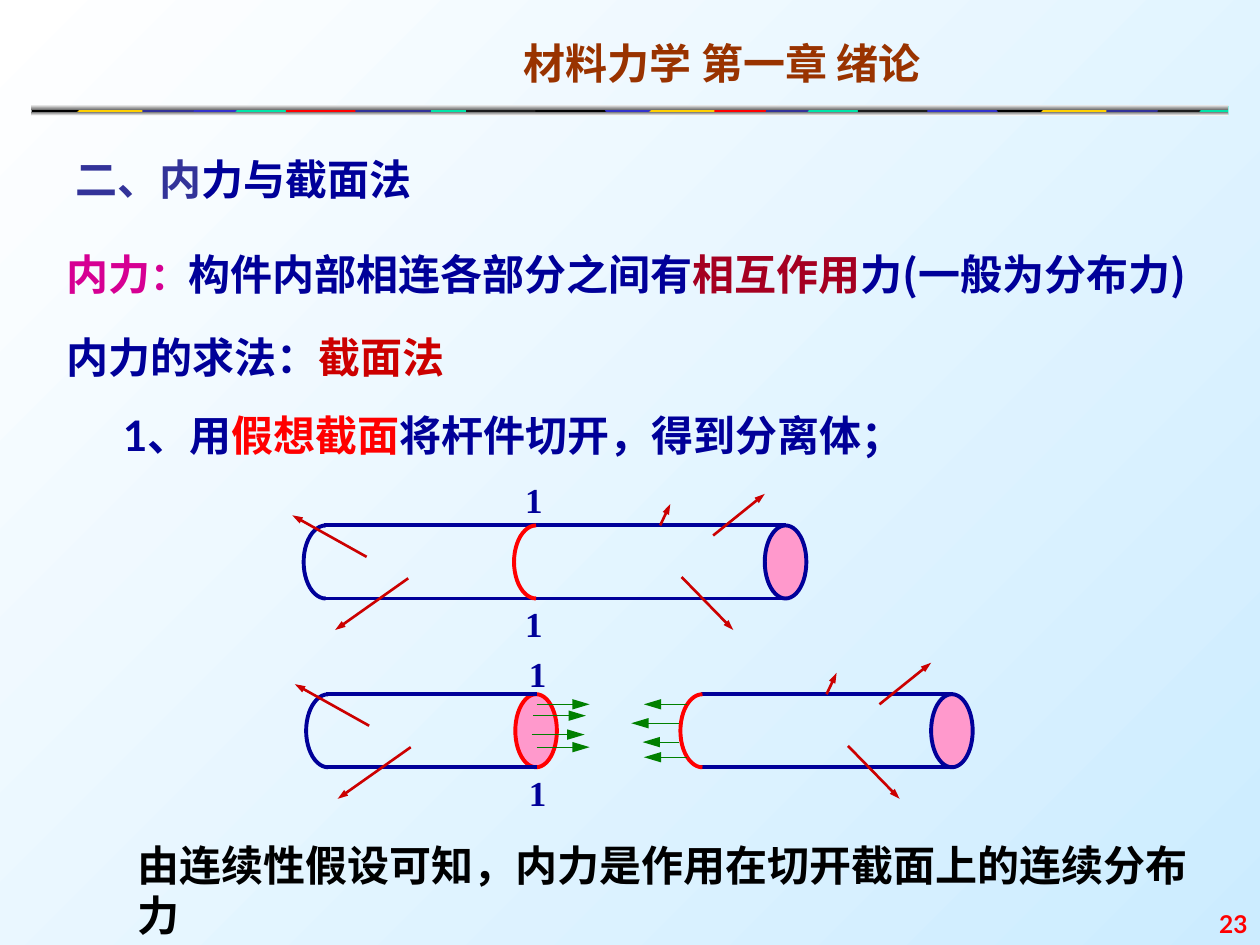
from dataclasses import dataclass

from lxml import etree
from pptx import Presentation
from pptx.dml.color import RGBColor
from pptx.enum.shapes import MSO_CONNECTOR, MSO_SHAPE
from pptx.enum.text import MSO_ANCHOR, PP_ALIGN
from pptx.oxml.ns import qn
from pptx.util import Emu, Pt

PX = 9144
ARC, ELLIPSE, RECTANGLE = MSO_SHAPE.ARC, MSO_SHAPE.OVAL, MSO_SHAPE.RECTANGLE
STRAIGHT = MSO_CONNECTOR.STRAIGHT
TOP, BOTTOM = MSO_ANCHOR.TOP, MSO_ANCHOR.BOTTOM
LEFT, RIGHT = PP_ALIGN.LEFT, PP_ALIGN.RIGHT


@dataclass(frozen=True)
class Theme:
    cjk: str = "Noto Sans CJK SC"
    sans: str = "Lato"
    serif: str = "Times New Roman"
    body: int = 24
    colon: int = 22
    label: int = 20
    number: int = 14
    outline: float = 2.25
    force_line: float = 1.5
    stress_line: float = 0.5
    white: str = "FFFFFF"
    sky: str = "CCECFF"
    grey: str = "767676"
    black: str = "000000"
    dark: str = "1C1C1C"
    navy: str = "000099"
    indigo: str = "333399"
    blue: str = "3333CC"
    teal: str = "00E4A8"
    yellow: str = "FFCF01"
    red: str = "FF0000"
    crimson: str = "CC0000"
    maroon: str = "A50021"
    magenta: str = "D60093"
    brown: str = "993300"
    pink: str = "FF99CC"
    green: str = "008000"


T = Theme()
ROD_HEIGHT, CAP_WIDTH, CAP_MIDDLE = 58, 33, 16


def px(*lengths):
    return [Emu(length * PX) for length in lengths]


def rgb(value):
    return RGBColor.from_string(value)


def gradient(fill, start, end, angle):
    fill.gradient()
    fill.gradient_angle = 360 - angle
    for stop, color in zip(fill.gradient_stops, (start, end)):
        stop.color.rgb = rgb(color)


def write(slide, box, parts, font, size=T.body, wrap=True, align=LEFT, anchor=TOP, inset=10):
    frame = slide.shapes.add_textbox(*px(*box)).text_frame
    frame.word_wrap = wrap
    frame.vertical_anchor = anchor
    frame.margin_left = Emu(inset * PX)
    paragraph = frame.paragraphs[0]
    paragraph.alignment = align
    for text, color, *own_size in parts:
        run = paragraph.add_run()
        run.text = text
        run.font.size = Pt(own_size[0] if own_size else size)
        run.font.bold = True
        run.font.color.rgb = rgb(color)
        run.font.name = font
        etree.SubElement(run._r.get_or_add_rPr(), qn("a:ea"), typeface=T.cjk)


def line(slide, start, end, color, width, head=None):
    connector = slide.shapes.add_connector(STRAIGHT, *px(*start, *end))
    connector.line.color.rgb = rgb(color)
    connector.line.width = Pt(width)
    if head:
        head_width, head_length = head
        etree.SubElement(connector.line._get_or_add_ln(), qn("a:tailEnd"),
                         type="triangle", w=head_width, len=head_length)
    etree.SubElement(connector._element.spPr, qn("a:effectLst"))


def outline(slide, kind, box, color):
    shape = slide.shapes.add_shape(kind, *px(*box))
    shape.shadow.inherit = False
    shape.line.color.rgb = rgb(color)
    shape.line.width = Pt(T.outline)
    return shape


def left_arc(slide, left, top, color):
    arc = outline(slide, ARC, (left, top, 35, ROD_HEIGHT), color)
    arc.fill.background()
    arc.adjustments[0], arc.adjustments[1] = 54, 162


def cap(slide, left, top, color):
    ellipse = outline(slide, ELLIPSE, (left, top, CAP_WIDTH, ROD_HEIGHT), color)
    ellipse.fill.solid()
    ellipse.fill.fore_color.rgb = rgb(T.pink)


def rod(slide, left, top, length, start_color, end_color):
    right = left + length
    cap(slide, right - CAP_WIDTH, top, end_color)
    for y in (top, top + ROD_HEIGHT):
        line(slide, (left + CAP_MIDDLE, y), (right - CAP_MIDDLE, y), T.navy, T.outline)
    left_arc(slide, left, top, start_color)


def arrows(slide, left, top, paths, color, width, head):
    for x1, y1, x2, y2 in paths:
        line(slide, (left + x1, top + y1), (left + x2, top + y2), color, width, head)


def end_forces(slide, left, top, right):
    at_left = [(50, 25, -9, -8), (83, 42, 25, 83)]
    at_right = [(-99, 41, -58, 83), (-116, 0, -108, -17), (-74, 8, -33, -25)]
    for x, paths in ((left, at_left), (right, at_right)):
        arrows(slide, x, top, paths, T.crimson, T.force_line, ("sm", "med"))


def section_labels(slide, left, tops):
    for top in tops:
        write(slide, (left, top, 33, 44), [("1", T.navy)], T.serif, T.label)


def whole_rod(slide, left, top, length):
    rod(slide, left, top, length, T.navy, T.navy)
    left_arc(slide, left + 167, top, T.red)
    section_labels(slide, left + 166, (top - 42, top + 56))
    end_forces(slide, left, top, left + length)


def cut_rod(slide, left, top, length):
    left_length, right_length = 199, 232
    right = left + length
    cut = left + left_length - CAP_WIDTH
    right_part = right - right_length
    rod(slide, left, top, left_length, T.navy, T.red)
    rod(slide, right_part, top, right_length, T.red, T.navy)
    section_labels(slide, left + 167, (top - 38, top + 56))
    end_forces(slide, left, top, right)
    on_left = [(x, y, x + 42, y) for x, y in ((17, 8), (14, 17), (13, 32), (17, 42))]
    on_right = [(5, 8, -29, 8), (-1, 23, -39, 23), (-1, 38, -30, 38), (5, 50, -29, 50)]
    for x, paths in ((cut, on_left), (right_part, on_right)):
        arrows(slide, x, top, paths, T.green, T.stress_line, ("med", "lg"))


def stripe(slide, top, left, left_notch, right, right_notch, color):
    corners = [(right, 0), (right_notch, 4), (right, 7), (left, 7), (left_notch, 4)]
    builder = slide.shapes.build_freeform(left, top, scale=PX)
    builder.add_line_segments([(x, top + y) for x, y in corners])
    shape = builder.convert_to_shape()
    shape.shadow.inherit = False
    shape.fill.solid()
    shape.fill.fore_color.rgb = rgb(color)
    shape.line.fill.background()


def header(slide, left, top, width):
    write(slide, (left + 381, top, 386, 50), [("材料力学 第一章 绪论", T.brown)], T.cjk)
    band = top + 59
    right = left + width
    stripe(slide, band, left + 3, left + 3, right, right, T.teal)
    pattern = [(0, 0, 60, 60), (55, 55, 115, 115), (236, 232, 267, 272),
               (115, 110, 157, 154), (140, 147, 199, 199), (197, 197, 236, 238)]
    repeats = [
        ([656] * 6, [T.dark, T.blue, T.dark, T.black, T.yellow, T.indigo]),
        ([345] * 6, [T.dark, T.black, T.indigo, T.blue, T.yellow, T.red]),
        ([202] * 2 + [-109] * 4, [T.red, T.indigo, T.blue, T.black, T.yellow, T.indigo]),
    ]
    for origins, colors in repeats:
        for piece, origin, color in zip(pattern, origins, colors):
            stripe(slide, band, *(left + origin + x for x in piece), color)
    stripe(slide, band, left, left, left + 31, left + 31, T.black)
    for y, height, start, end in ((58, 4, T.white, T.grey), (64, 3, T.grey, T.white)):
        edge = slide.shapes.add_shape(RECTANGLE, *px(left, top + y, width, height))
        edge.shadow.inherit = False
        edge.line.fill.background()
        gradient(edge.fill, start, end, 90)


def statements(slide, left, top):
    write(slide, (left + 23, top, 305, 50),
          [("二、内", T.indigo), ("力与截面法", T.navy)], T.serif)
    write(slide, (left + 16, top + 75, 937, 90),
          [("内力", T.magenta), ("：", T.magenta, T.colon),
           ("构件内部相连各部分之间有", T.navy), ("相互作用", T.maroon),
           ("力(一般为分布力)", T.navy)], T.cjk)
    write(slide, (left, top + 141, 414, 50),
          [("内力的求法：", T.navy), ("截面法", T.crimson)], T.serif, inset=26)
    write(slide, (left + 61, top + 203, 640, 50),
          [("1、用", T.navy), ("假想截面", T.red),
           ("将杆件切开，得到分离体；", T.navy)], T.sans)


def conclusion(slide, left, top):
    write(slide, (left, top, 886, 50),
          [("由连续性假设可知，内力是作用在切开截面上的连续分布力", T.black)],
          T.sans, wrap=False)
    write(slide, (left + 834, top + 39, 67, 50), [("23", T.red)], T.sans, T.number,
          align=RIGHT, anchor=BOTTOM)


def main():
    deck = Presentation()
    deck.slide_width, deck.slide_height = px(1000, 750)
    slide = deck.slides.add_slide(deck.slide_layouts[6])
    gradient(slide.background.fill, T.white, T.sky, 45)
    header(slide, 25, 25, 950)
    statements(slide, 27, 117)
    whole_rod(slide, 241, 417, 399)
    cut_rod(slide, 243, 551, 529)
    conclusion(slide, 99, 661)
    deck.save("out.pptx")


if __name__ == "__main__":
    main()
